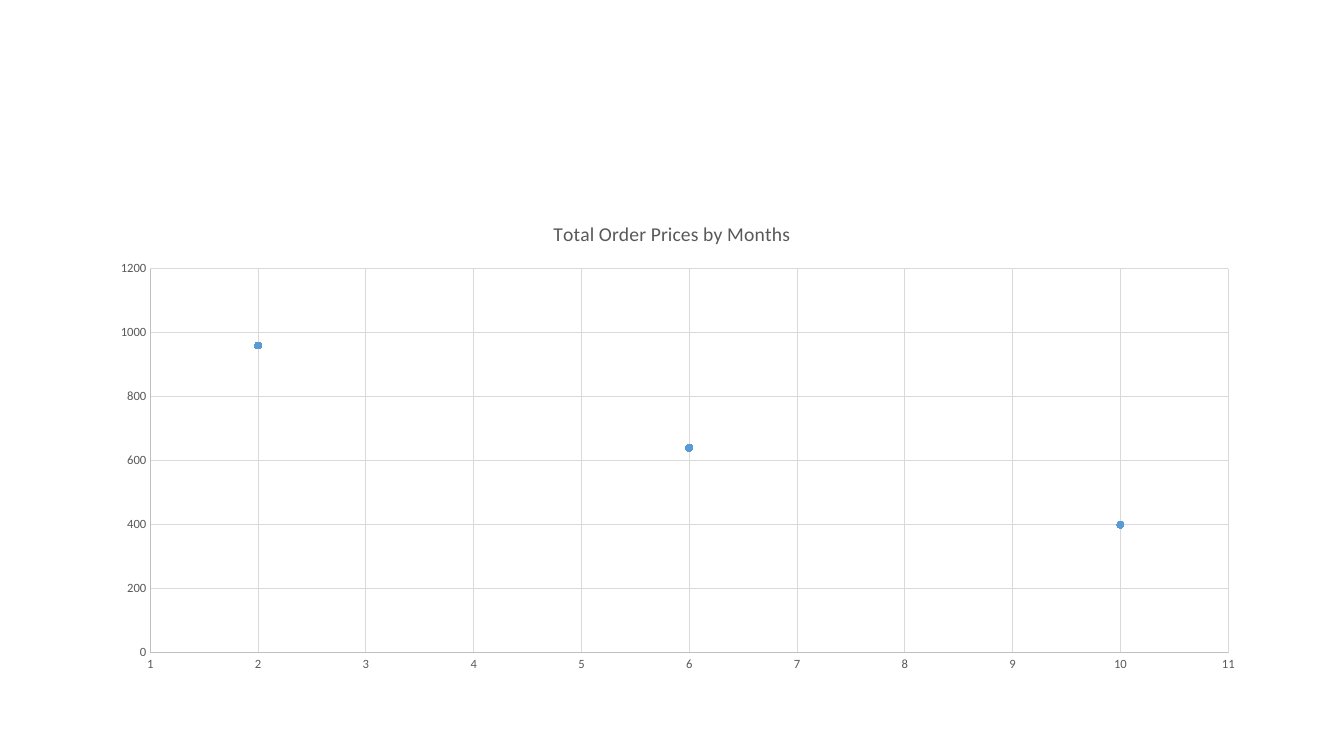
from dataclasses import dataclass

from lxml.etree import SubElement
from pptx import Presentation
from pptx.chart.data import XyChartData
from pptx.dml.color import RGBColor
from pptx.enum.chart import XL_CHART_TYPE, XL_MARKER_STYLE, XL_TICK_MARK
from pptx.oxml.ns import qn
from pptx.util import Pt


@dataclass(frozen=True)
class Theme:
    font: str = "Calibri"
    text: str = "595959"
    axis: str = "BFBFBF"
    grid: str = "D9D9D9"
    accent: str = "5B9BD5"
    title_size: int = 14
    label_size: int = 9
    line_width: float = 0.75
    marker_size: int = 5


class SlideBuilder:
    EMU_PER_PX = 9525

    def __init__(self, prs, theme):
        self.theme = theme
        prs.slide_width, prs.slide_height = self.px(1280, 720)
        self.s = prs.slides.add_slide(prs.slide_layouts[6])

    def px(self, *lengths):
        return [n * self.EMU_PER_PX for n in lengths]

    def style_font(self, font, size):
        values = {"name": self.theme.font, "size": Pt(size), "bold": False}
        for name, value in values.items():
            setattr(font, name, value)
        font.color.rgb = RGBColor.from_string(self.theme.text)

    def style_line(self, line, color):
        line.color.rgb = RGBColor.from_string(color)
        line.width = Pt(self.theme.line_width)

    def style_axis(self, axis, low, high, step):
        values = {
            "minimum_scale": low,
            "maximum_scale": high,
            "major_unit": step,
            "has_major_gridlines": True,
            "major_tick_mark": XL_TICK_MARK.NONE,
            "minor_tick_mark": XL_TICK_MARK.NONE,
        }
        for name, value in values.items():
            setattr(axis, name, value)
        self.style_font(axis.tick_labels.font, self.theme.label_size)
        self.style_line(axis.format.line, self.theme.axis)
        self.style_line(axis.major_gridlines.format.line, self.theme.grid)

    def place_plot(self, chart, x, y, w, h):
        plot_area = chart.element.find(".//" + qn("c:plotArea"))
        layout = plot_area.find(qn("c:layout"))
        if layout is None:
            layout = SubElement(plot_area, qn("c:layout"))
            plot_area.insert(0, layout)
        manual = SubElement(layout, qn("c:manualLayout"))
        values = {
            "layoutTarget": "inner", "xMode": "edge", "yMode": "edge",
            "x": x, "y": y, "w": w, "h": h,
        }
        for name, value in values.items():
            SubElement(manual, qn("c:" + name)).set("val", str(value))

    def add_scatter(self, box, title, name, points, x_scale, y_scale):
        data = XyChartData()
        series_data = data.add_series(name)
        for x, y in points:
            series_data.add_data_point(x, y)
        chart = self.s.shapes.add_chart(
            XL_CHART_TYPE.XY_SCATTER, *self.px(*box), data).chart
        chart.has_legend = False
        chart.plots[0].vary_by_categories = False
        self.style_font(chart.font, self.theme.label_size)

        chart.has_title = True
        p = chart.chart_title.text_frame.paragraphs[0]
        r = p.add_run()
        r.text = title
        self.style_font(r.font, self.theme.title_size)

        self.style_axis(chart.category_axis, *x_scale)
        self.style_axis(chart.value_axis, *y_scale)

        series = chart.plots[0].series[0]
        series.smooth = False
        series.format.line.fill.background()
        marker = series.marker
        marker.style = XL_MARKER_STYLE.CIRCLE
        marker.size = self.theme.marker_size
        color = RGBColor.from_string(self.theme.accent)
        for fill in (marker.format.fill, marker.format.line.fill):
            fill.solid()
            fill.fore_color.rgb = color
        return chart


def main():
    prs = Presentation()
    slide = SlideBuilder(prs, Theme())
    chart = slide.add_scatter(
        (88, 192, 1104, 457),
        "Total Order Prices by Months",
        "Series 1",
        [(2, 960), (10, 400), (6, 640)],
        (1, 11, 1),
        (0, 1200, 200),
    )
    slide.place_plot(chart, 0.05, 0.14, 0.93, 0.8)
    prs.save("out.pptx")


if __name__ == "__main__":
    main()
